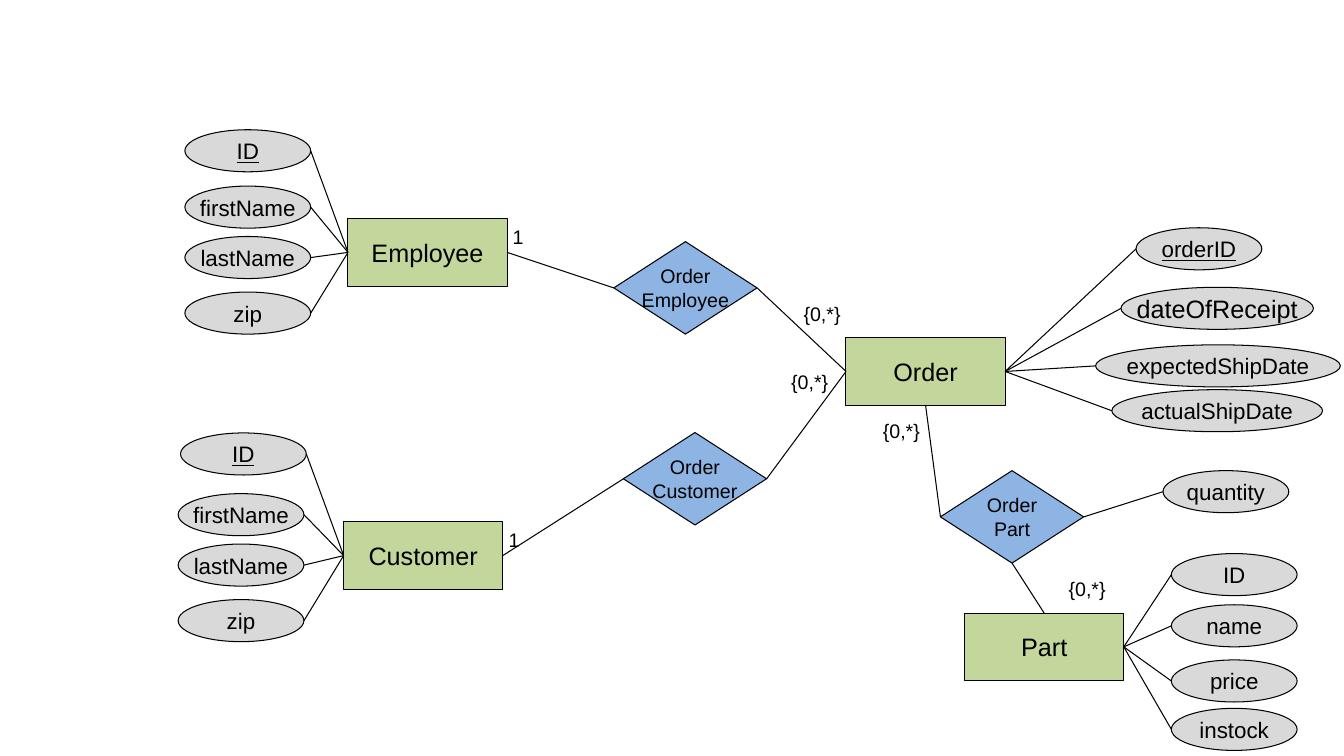
from lxml import etree
from pptx import Presentation
from pptx import util as u
from pptx.dml import color
from pptx.enum import shapes, text
from pptx.oxml import ns

TOP, LEFT, BOTTOM, RIGHT = range(4)  # connection sites of boxes and diamonds
ATTR_W, ATTR_H = 3.17, 1.06

# name: left, top (cm)
ENTITIES = {
    "Employee": (8.77, 5.51),
    "Customer": (8.66, 13.15),
    "Order": (21.32, 8.51),
    "Part": (24.31, 15.45),
}
RELATIONS = {
    "Order\nEmployee": (15.47, 6.09),
    "Order\nCustomer": (15.71, 10.9),
    "Order\nPart": (23.7, 11.86),
}
# owner, side of the owner, then attributes: name, left, top, extra format
ATTRIBUTES = [
    ("Employee", LEFT, [
        ("ID", 4.66, 3.27, {"underline": True}),
        ("firstName", 4.66, 4.69, {}),
        ("lastName", 4.66, 5.96, {}),
        ("zip", 4.66, 7.36, {})]),
    ("Customer", LEFT, [
        ("ID", 4.55, 10.91, {"underline": True}),
        ("firstName", 4.49, 12.44, {}),
        ("lastName", 4.49, 13.71, {}),
        ("zip", 4.49, 15.11, {})]),
    ("Order", RIGHT, [
        ("orderID", 28.63, 5.74, {"underline": True}),
        ("dateOfReceipt", 28.25, 7.24, {"w": 4.85, "size": 18}),
        ("expectedShipDate", 27.61, 8.69, {"w": 6.17}),
        ("actualShipDate", 28.02, 9.82, {"w": 5.31})]),
    ("Order\nPart", RIGHT, [("quantity", 29.31, 11.86, {})]),
    ("Part", RIGHT, [
        ("ID", 29.52, 13.95, {}),
        ("name", 29.52, 15.24, {}),
        ("price", 29.52, 16.63, {}),
        ("instock", 29.52, 17.85, {})]),
]
LINKS = [
    ("Employee", RIGHT, "Order\nEmployee", LEFT),
    ("Order\nEmployee", RIGHT, "Order", LEFT),
    ("Customer", RIGHT, "Order\nCustomer", LEFT),
    ("Order\nCustomer", RIGHT, "Order", LEFT),
    ("Order", BOTTOM, "Order\nPart", LEFT),
    ("Order\nPart", BOTTOM, "Part", TOP),
]
# text, left, top, width
CARDINALITIES = [
    ("1", 12.67, 5.54, 0.79),
    ("1", 12.57, 13.18, 0.79),
    ("{0,*}", 20, 7.48, 1.45),
    ("{0,*}", 19.69, 9.19, 1.45),
    ("{0,*}", 22, 10.44, 1.45),
    ("{0,*}", 26.68, 14.42, 1.45),
]


def rgb(value):
    """Turn a hex string into a colour."""
    return color.RGBColor.from_string(value)


def write(tf, words, size=16, underline=None, align=text.PP_ALIGN.CENTER):
    """Write one paragraph per line of words, without wrapping."""
    tf.word_wrap = False
    for i, row in enumerate(words.split("\n")):
        p = tf.paragraphs[0] if i == 0 else tf.add_paragraph()
        p.alignment = align
        r = p.add_run()
        r.text = row
        r.font.name = "Arial"
        r.font.size = u.Pt(size)
        r.font.underline = underline
        r.font.color.rgb = rgb("000000")


def outline(obj):
    """Give a shape or connector the thin black line."""
    obj.line.color.rgb = rgb("000000")
    obj.line.width = u.Pt(0.75)


def node(s, kind, words, x, y, w, h, fill, **fmt):
    """Add a filled, outlined shape with centred text."""
    sp = s.shapes.add_shape(kind, u.Cm(x), u.Cm(y), u.Cm(w), u.Cm(h))
    sp.shadow.inherit = False
    sp.fill.solid()
    sp.fill.fore_color.rgb = rgb(fill)
    outline(sp)
    sp.text_frame.vertical_anchor = text.MSO_ANCHOR.MIDDLE
    write(sp.text_frame, words, **fmt)
    return sp


def entity(s, words, x, y):
    """Add an entity box."""
    return node(s, shapes.MSO_SHAPE.FLOWCHART_PROCESS, words, x, y,
                4.01, 1.7, "C3D69B", size=18)


def relation(s, words, x, y):
    """Add a relationship diamond."""
    return node(s, shapes.MSO_SHAPE.FLOWCHART_DECISION, words, x, y,
                3.61, 2.33, "8EB4E3", size=14)


def site(sp, side):
    """Return the middle of one side of a shape."""
    mid_x, mid_y = sp.left + sp.width // 2, sp.top + sp.height // 2
    return {TOP: (mid_x, sp.top), LEFT: (sp.left, mid_y),
            BOTTOM: (mid_x, sp.top + sp.height),
            RIGHT: (sp.left + sp.width, mid_y)}[side]


def link(s, start, start_side, end, end_side):
    """Draw a thin line between two sides, attached at its end."""
    c = s.shapes.add_connector(shapes.MSO_CONNECTOR.STRAIGHT,
                               *site(start, start_side), *site(end, end_side))
    outline(c)
    etree.SubElement(c._element.spPr, ns.qn("a:effectLst"))
    c.end_connect(end, end_side)
    return c


def attribute(s, owner, side, words, x, y, w=ATTR_W, **fmt):
    """Add an attribute ellipse and the line to its owner."""
    sp = node(s, shapes.MSO_SHAPE.OVAL, words, x, y, w, ATTR_H, "D9D9D9", **fmt)
    link(s, sp, RIGHT if side == LEFT else LEFT, owner, side)


def cardinality(s, words, x, y, w):
    """Add a cardinality label."""
    tf = s.shapes.add_textbox(u.Cm(x), u.Cm(y), u.Cm(w), u.Cm(0.86)).text_frame
    write(tf, words, size=14, align=text.PP_ALIGN.LEFT)
    tf.auto_size = text.MSO_AUTO_SIZE.SHAPE_TO_FIT_TEXT


def main():
    """Build the entity-relationship diagram."""
    prs = Presentation()
    prs.slide_width, prs.slide_height = u.Cm(33.87), u.Cm(19.05)
    s = prs.slides.add_slide(prs.slide_layouts[6])
    nodes = {name: entity(s, name, *at) for name, at in ENTITIES.items()}
    nodes.update({name: relation(s, name, *at) for name, at in RELATIONS.items()})
    for start, start_side, end, end_side in LINKS:
        c = link(s, nodes[start], start_side, nodes[end], end_side)
        c.begin_connect(nodes[start], start_side)
    for owner, side, attributes in ATTRIBUTES:
        for words, x, y, fmt in attributes:
            attribute(s, nodes[owner], side, words, x, y, **fmt)
    for label in CARDINALITIES:
        cardinality(s, *label)
    prs.save("out.pptx")


main()
